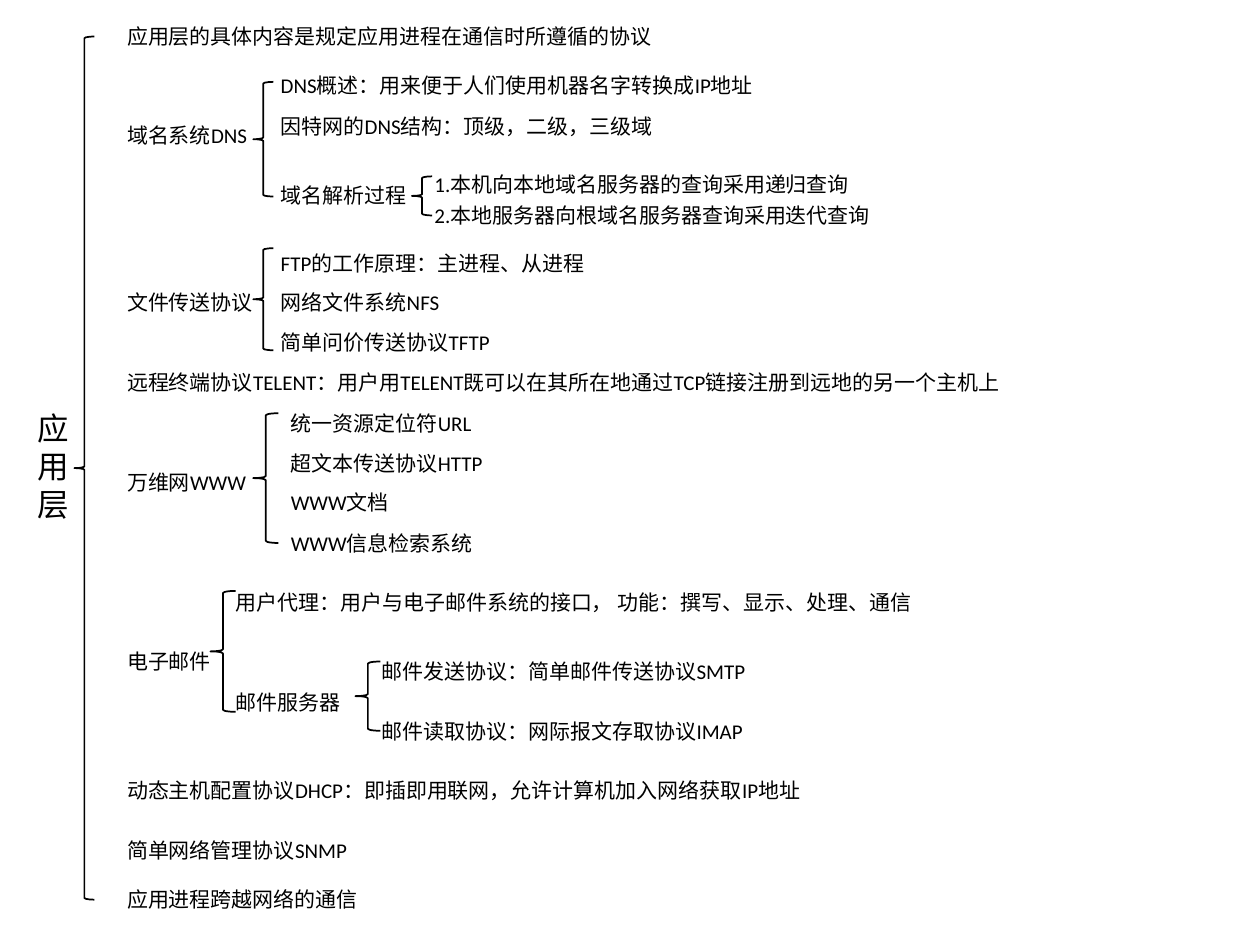
from dataclasses import dataclass

from pptx import Presentation
from pptx.dml.color import RGBColor
from pptx.enum.shapes import MSO_SHAPE
from pptx.enum.text import MSO_AUTO_SIZE
from pptx.util import Inches, Pt


@dataclass(frozen=True)
class Theme:
    """Colours, type and line sizes of the outline."""
    ink: RGBColor = RGBColor(0, 0, 0)
    font: str = "Calibri"
    title_size: int = 18
    body_size: int = 12
    line_width: int = 1
    row_height: float = 0.3


@dataclass(frozen=True)
class Box:
    """A rectangle in inches."""
    left: float
    top: float
    width: float
    height: float = Theme.row_height

    def inside(self, part):
        """Return a part's box moved from this box to the slide."""
        return Box(self.left + part.left, self.top + part.top, part.width, part.height)

    def lengths(self):
        """Return the four lengths for a shape."""
        return [Inches(value) for value in (self.left, self.top, self.width, self.height)]


THEME = Theme()


def add_text(slide, box, text, size=THEME.body_size):
    """Write text lines in a wrapping box."""
    frame = slide.shapes.add_textbox(*box.lengths()).text_frame
    frame.word_wrap = True
    frame.auto_size = MSO_AUTO_SIZE.SHAPE_TO_FIT_TEXT
    frame.text = text
    for paragraph in frame.paragraphs:
        paragraph.font.name = THEME.font
        paragraph.font.size = Pt(size)
        paragraph.font.color.rgb = THEME.ink


def add_brace(slide, box):
    """Draw an opening brace."""
    brace = slide.shapes.add_shape(MSO_SHAPE.LEFT_BRACE, *box.lengths())
    brace.shadow.inherit = False
    brace.fill.background()
    brace.line.color.rgb = THEME.ink
    brace.line.width = Pt(THEME.line_width)


def add_branch(slide, box, label, label_box, brace_box, leaf_box, leaves):
    """Place a label, its brace and its leaves, given by offset, in a box."""
    add_text(slide, box.inside(label_box), label)
    add_brace(slide, box.inside(brace_box))
    for offset, text in leaves:
        part = Box(leaf_box.left, leaf_box.top + offset, leaf_box.width)
        add_text(slide, box.inside(part), text)


def add_root(slide, box):
    """Place the root title and the brace over the whole outline."""
    add_text(slide, box.inside(Box(0, 3.06, 0.55, 1.01)), "应\n用\n层", THEME.title_size)
    add_brace(slide, box.inside(Box(0.39, 0.15, 0.16, 6.85)))


def add_topics(slide, box):
    """Place the topics that have no branches."""
    topics = [
        (0, "应用层的具体内容是规定应用进程在通信时所遵循的协议"),
        (2.74, "远程终端协议TELENT：用户用TELENT既可以在其所在地通过TCP链接注册到远地的另一个主机上"),
        (5.98, "动态主机配置协议DHCP：即插即用联网，允许计算机加入网络获取IP地址"),
        (6.46, "简单网络管理协议SNMP"),
        (6.85, "应用进程跨越网络的通信"),
    ]
    for offset, text in topics:
        add_text(slide, box.inside(Box(0, offset, box.width)), text)


def add_domain_names(slide, box):
    """Place the domain name branch and its resolution steps."""
    add_branch(
        slide, box, "域名系统DNS", Box(0, 0.39, 1.42),
        Box(1.1, 0.12, 0.16, 0.91), Box(1.22, 0, 6.14),
        [(0, "DNS概述：用来便于人们使用机器名字转换成IP地址"),
         (0.32, "因特网的DNS结构：顶级，二级，三级域")])
    add_branch(
        slide, box, "域名解析过程", Box(1.22, 0.87, 6.14),
        Box(2.36, 0.87, 0.16, 0.31), Box(2.44, 0.78, 6.14),
        [(0, "1.本机向本地域名服务器的查询采用递归查询"),
         (0.25, "2.本地服务器向根域名服务器查询采用迭代查询")])


def add_file_transfer(slide, box):
    """Place the file transfer branch."""
    add_branch(
        slide, box, "文件传送协议", Box(0, 0.31, 1.42),
        Box(1.1, 0.03, 0.16, 0.81), Box(1.22, 0, 4.13),
        [(0, "FTP的工作原理：主进程、从进程"),
         (0.31, "网络文件系统NFS"),
         (0.63, "简单问价传送协议TFTP")])


def add_web(slide, box):
    """Place the web branch."""
    add_branch(
        slide, box, "万维网WWW", Box(0, 0.47, box.width),
        Box(1.1, 0.07, 0.2, 1.03), Box(1.3, 0, 4.13),
        [(0, "统一资源定位符URL"),
         (0.32, "超文本传送协议HTTP"),
         (0.63, "WWW文档"),
         (0.95, "WWW信息检索系统")])


def add_mail(slide, box):
    """Place the mail branch and its server protocols."""
    add_branch(
        slide, box, "电子邮件", Box(0, 0.47, box.width),
        Box(0.76, 0.06, 0.2, 0.96), Box(0.86, 0, 7.64),
        [(0, "用户代理：用户与电子邮件系统的接口， 功能：撰写、显示、处理、通信")])
    add_branch(
        slide, box, "邮件服务器", Box(0.86, 0.79, 7.64),
        Box(1.91, 0.62, 0.2, 0.55), Box(2.02, 0.55, 4.12),
        [(0, "邮件发送协议：简单邮件传送协议SMTP"),
         (0.47, "邮件读取协议：网际报文存取协议IMAP")])


def main():
    """Build and save the outline slide."""
    presentation = Presentation()
    presentation.slide_width = Inches(10)
    presentation.slide_height = Inches(7.5)
    slide = presentation.slides.add_slide(presentation.slide_layouts[6])
    left, width = 0.91, 8.82
    add_root(slide, Box(0.2, 0.14, 0.55, 7))
    add_topics(slide, Box(left, 0.14, width, 7.15))
    add_domain_names(slide, Box(left, 0.53, width, 1.33))
    add_file_transfer(slide, Box(left, 1.94, width, 0.93))
    add_web(slide, Box(left, 3.21, width, 1.25))
    add_mail(slide, Box(left, 4.63, width, 1.32))
    presentation.save("out.pptx")


main()
